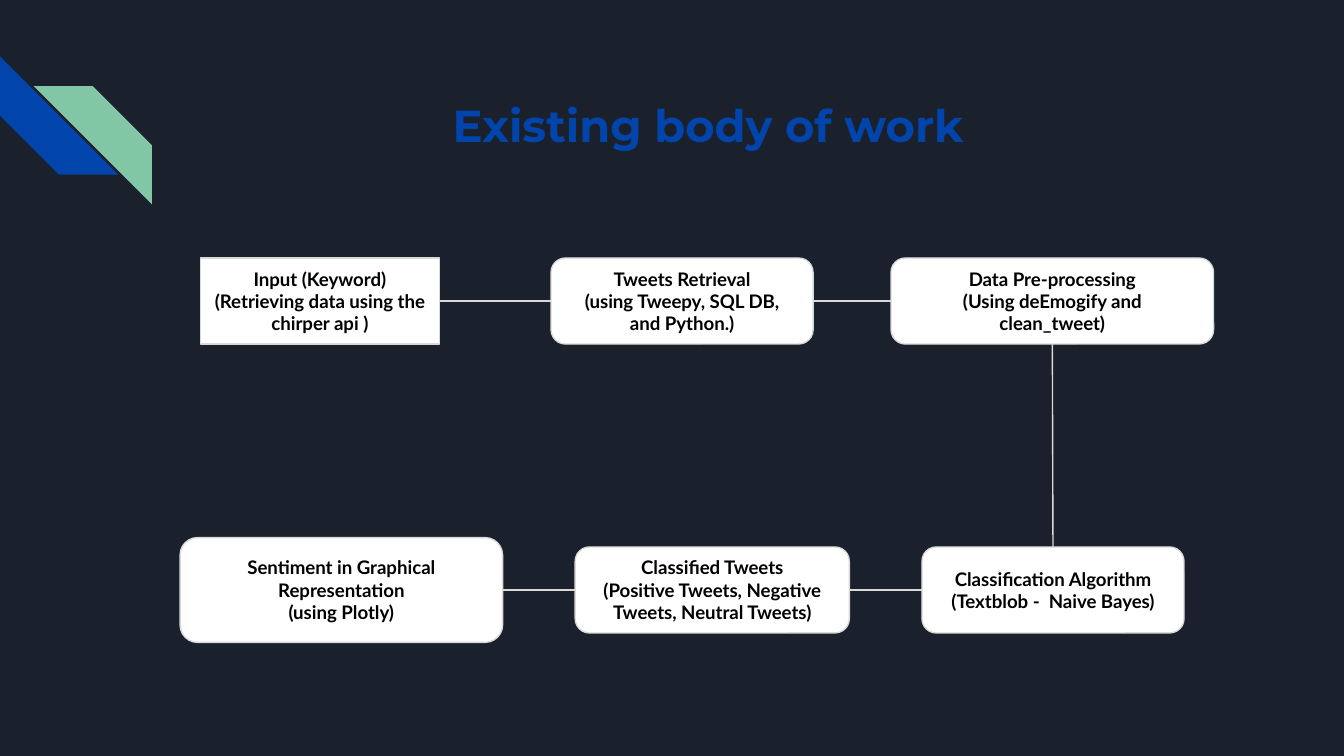
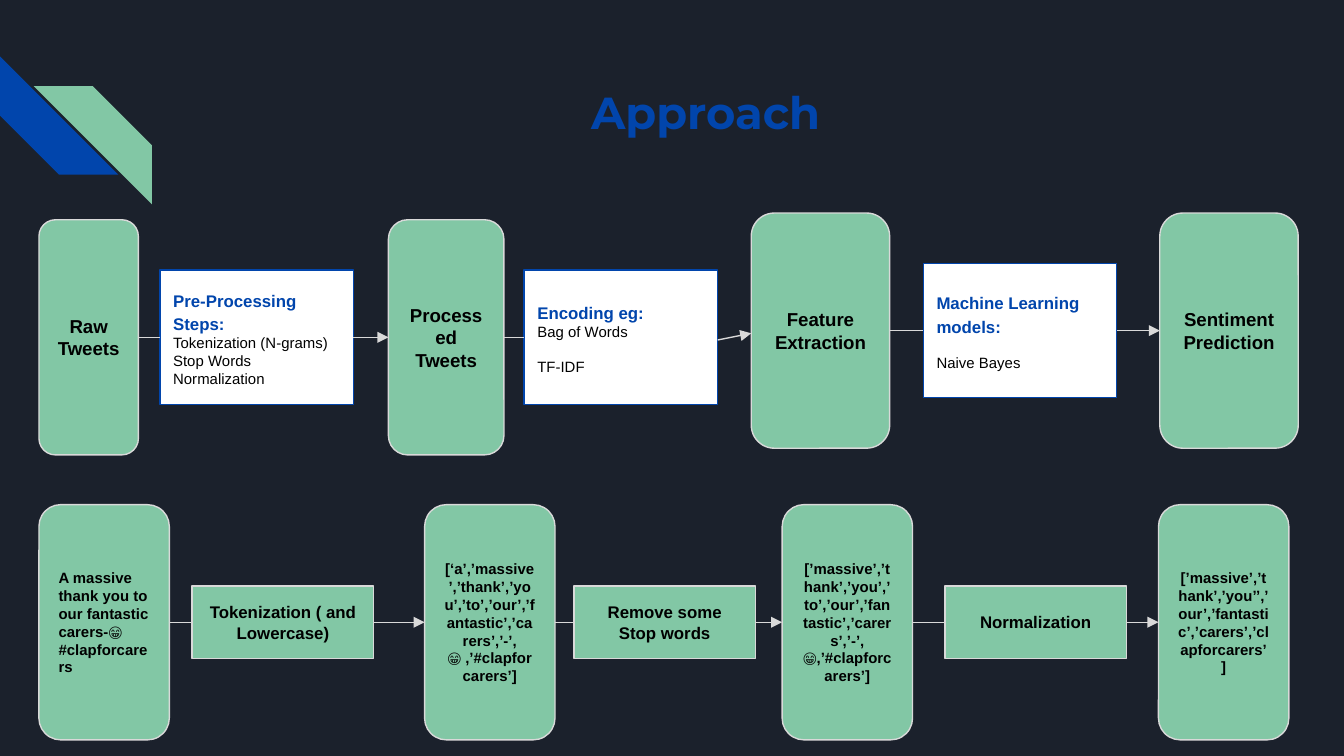
"""Build two slides on sentiment analysis of tweets: the known pipeline and the approach."""
import lxml.etree
import pptx
import pptx.dml.color
import pptx.enum.shapes
import pptx.enum.text
import pptx.oxml.ns
import pptx.util

Inches = pptx.util.Inches
Pt = pptx.util.Pt
RGB = pptx.dml.color.RGBColor
Kind = pptx.enum.shapes.MSO_SHAPE
Align = pptx.enum.text.PP_ALIGN
qn = pptx.oxml.ns.qn

NIGHT = RGB(0x1B, 0x21, 0x2C)
BLUE = RGB(0x01, 0x45, 0xAC)
GREEN = RGB(0x82, 0xC7, 0xA5)
WHITE = RGB(0xFF, 0xFF, 0xFF)
BLACK = RGB(0x00, 0x00, 0x00)
GREY = RGB(0xD9, 0xD9, 0xD9)
TOP, LEFT, BOTTOM, RIGHT = range(4)


class Deck:
    """Hold the style and the current slide, and draw each kind of element."""

    def __init__(self):
        self.show = pptx.Presentation()
        self.show.slide_width = Inches(10)
        self.show.slide_height = Inches(10) * 9 // 16
        self.slide = None

    def page(self, title, left, top):
        """Start a slide with its background, corner stripes and title."""
        self.slide = self.show.slides.add_slide(self.show.slide_layouts[6])
        back = self.slide.background.fill
        back.solid()
        back.fore_color.rgb = NIGHT
        self.stripe(0, 0.42, 270, BLUE)
        self.stripe(0.25, 0.64, 90, GREEN)
        place = [Inches(n) for n in (left, top, 7.7, 1)]
        box = self.slide.shapes.add_textbox(*place)
        self.label(box, [title], "Montserrat", 24, BLUE)

    def shape(self, kind, left, top, width, height, fill):
        """Add a flat preset shape."""
        place = [Inches(n) for n in (left, top, width, height)]
        item = self.slide.shapes.add_shape(kind, *place)
        item.shadow.inherit = False
        item.fill.solid()
        item.fill.fore_color.rgb = fill
        return item

    def stripe(self, left, top, turn, fill):
        """Add one diagonal corner stripe."""
        item = self.shape(Kind.DIAGONAL_STRIPE, left, top, 0.88, 0.88, fill)
        item.rotation = turn
        item.line.fill.background()

    def label(self, item, lines, face, size, color=BLACK, align=Align.CENTER):
        """Fill a shape with bold paragraphs, centred in height."""
        frame = item.text_frame
        frame.word_wrap = True
        frame.vertical_anchor = pptx.enum.text.MSO_ANCHOR.MIDDLE
        frame.margin_left = frame.margin_right = Inches(0.1)
        frame.margin_top = frame.margin_bottom = Inches(0.1)
        frame.text = "\n".join(lines)
        for para in frame.paragraphs:
            para.alignment = align
            self.style(para, face, size, color, True)
        return frame.paragraphs

    def style(self, para, face, size, color, bold):
        """Set the font of a paragraph."""
        font = para.font
        font.name, font.size, font.bold = face, Pt(size), bold
        font.color.rgb = color

    def box(self, left, mid, width, height, fill, edge=GREY, kind=Kind.ROUNDED_RECTANGLE):
        """Add an outlined box centred on the height mid."""
        item = self.shape(kind, left, mid - height / 2, width, height, fill)
        item.line.color.rgb = edge
        item.line.width = Pt(0.75)
        return item

    def card(self, left, mid, head, lines, gap):
        """Add a white card: a blue heading over plain lines, with a gap before one of them."""
        item = self.box(left, mid, 1.44, 1, WHITE, BLUE, Kind.RECTANGLE)
        paras = self.label(item, [head, *lines], "Arial", 9, BLUE, Align.LEFT)
        paras[0].line_spacing = 1.15
        for para in paras[1:]:
            self.style(para, "Arial", 8, BLACK, False)
        if gap:
            paras[gap].space_before = Pt(9)
        return item

    def line(self, x1, y1, x2, y2, arrow=False):
        """Add a thin straight line, with an arrowhead if asked."""
        ends = [Inches(n) for n in (x1, y1, x2, y2)]
        item = self.slide.shapes.add_connector(pptx.enum.shapes.MSO_CONNECTOR.STRAIGHT, *ends)
        item.line.color.rgb = GREY
        item.line.width = Pt(0.75)
        props = item._element.spPr
        if arrow:
            lxml.etree.SubElement(props.find(qn("a:ln")), qn("a:tailEnd"), type="triangle")
        lxml.etree.SubElement(props, qn("a:effectLst"))
        return item

    def join(self, start, end, leave=RIGHT, enter=LEFT, arrow=False):
        """Connect two boxes at the middle of their sides."""
        item = self.line(0, 0, 0, 0, arrow)
        item.begin_connect(start, leave)
        item.end_connect(end, enter)

    def chain(self, boxes):
        """Join boxes and steps in turn, with an arrow out of each step."""
        for i, (start, end) in enumerate(zip(boxes, boxes[1:])):
            self.join(start, end, arrow=i % 2 == 1)


def work(deck):
    """Draw the pipeline of existing work."""
    deck.page("Existing body of work", 1.42, 0.43)
    high, low = 2.24, 4.39
    nodes = [
        (1.49, high, 1.78, 0.64, "Input (Keyword)", "(Retrieving data using the chirper api )"),
        (4.1, high, 1.95, 0.64, "Tweets Retrieval", "(using Tweepy, SQL DB, and Python.)"),
        (6.63, high, 2.4, 0.64, "Data Pre-processing", "(Using deEmogify and clean_tweet)"),
        (6.86, low, 1.95, 0.64, "Classification Algorithm", "(Textblob -  Naive Bayes)"),
        (4.28, low, 2.04, 0.64, "Classified Tweets",
         "(Positive Tweets, Negative Tweets, Neutral Tweets)"),
        (1.34, low, 2.4, 0.78, "Sentiment in Graphical Representation", "(using Plotly)"),
    ]
    boxes = []
    for i, (left, mid, width, height, *lines) in enumerate(nodes):
        kind = Kind.ROUNDED_RECTANGLE if i else Kind.RECTANGLE
        item = deck.box(left, mid, width, height, WHITE, kind=kind)
        deck.label(item, lines, "Lato", 10)
        boxes.append(item)
    sides = [(RIGHT, LEFT)] * 2 + [(BOTTOM, TOP)] + [(LEFT, RIGHT)] * 2
    for start, end, (leave, enter) in zip(boxes, boxes[1:], sides):
        deck.join(start, end, leave, enter)


def plan(deck):
    """Draw the approach and a worked example below it."""
    deck.page("Approach", 1.4, 0.33)
    high, mid, low = 2.46, 2.51, 4.63

    stages = []
    for left, y, width, text in [
        (0.29, mid, 0.74, "Raw Tweets"),
        (2.89, mid, 0.86, "Processed Tweets"),
        (5.59, high, 1.03, "Feature Extraction"),
        (8.63, high, 1.03, "Sentiment Prediction"),
    ]:
        item = deck.box(left, y, width, 1.75, GREEN)
        deck.label(item, [text], "Arial", 10)
        stages.append(item)
    raw, clean, feature, mood = stages
    prep = deck.card(1.19, mid, "Pre-Processing Steps:",
                     ["Tokenization (N-grams)", "Stop Words", "Normalization"], 0)
    code = deck.card(3.9, mid, "Encoding eg:", ["Bag of Words", "TF-IDF"], 2)
    model = deck.card(6.87, high, "Machine Learning models:", ["Naive Bayes"], 1)
    deck.chain([raw, prep, clean, code])
    deck.line(5.34, 2.53, 5.59, 2.48, True)
    deck.chain([feature, model, mood])

    states = [
        (0.29, Align.LEFT, ["A massive thank you to our fantastic carers-😁", "#clapforcarers"]),
        (3.16, Align.CENTER, ["[‘a’,’massive’,’thank’,’you’,’to’,’our’,’fantastic’,’carers’,’-’,"
                              "😁 ,’#clapforcarers’]"]),
        (5.82, Align.CENTER, ["[’massive’,’thank’,’you’,’to’,’our’,’fantastic’,’carers’,’-’, "
                              "😁,’#clapforcarers’]"]),
        (8.62, Align.CENTER, ["[’massive’,’thank’,’you’’,’our’,’fantastic’,’carers’,"
                              "’clapforcarers’]"]),
    ]
    steps = [
        (1.43, "Tokenization ( and Lowercase)"),
        (4.27, "Remove some Stop words"),
        (7.03, "Normalization"),
    ]
    boxes = [None] * 7
    for i, (left, align, lines) in enumerate(states):
        boxes[2 * i] = item = deck.box(left, low, 0.97, 1.75, GREEN)
        deck.label(item, lines, "Arial", 8, align=align)
    for i, (left, text) in enumerate(steps):
        boxes[2 * i + 1] = item = deck.box(left, low, 1.35, 0.54, GREEN, kind=Kind.RECTANGLE)
        deck.label(item, [text], "Arial", 9)
    deck.chain(boxes)


def main():
    """Build both slides and save them."""
    deck = Deck()
    work(deck)
    plan(deck)
    deck.show.save("out.pptx")


if __name__ == "__main__":
    main()
